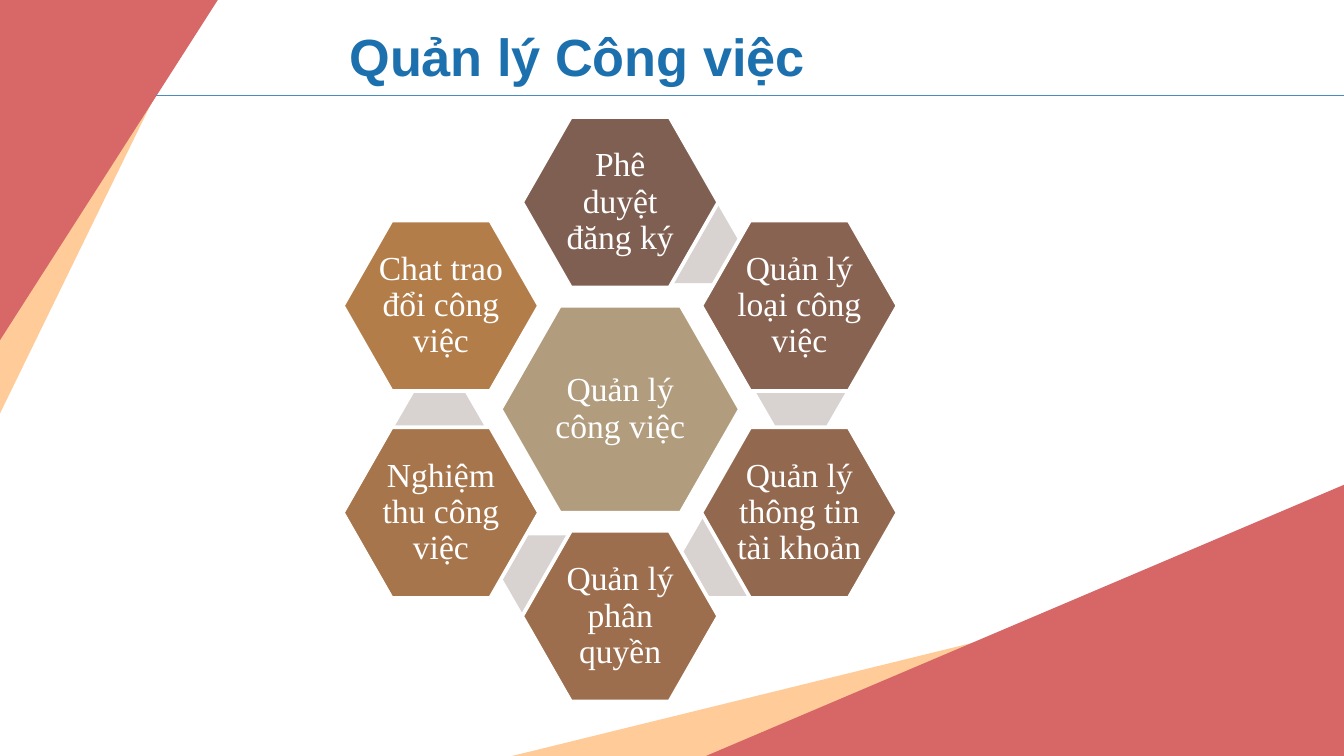
import math

from lxml import etree
from pptx import Presentation
from pptx import util as u
from pptx.dml.color import RGBColor
from pptx.enum import shapes, text
from pptx.oxml.ns import qn

WHITE = RGBColor(0xFF, 0xFF, 0xFF)
PEACH = RGBColor(0xFF, 0xCC, 0x99)
CORAL = RGBColor(0xD8, 0x68, 0x67)
ROSE = RGBColor(0xD7, 0x67, 0x67)
TITLE_BLUE = RGBColor(0x1C, 0x70, 0xAD)
RULE_BLUE = RGBColor(0x49, 0x8C, 0xBD)
LINK_GREY = RGBColor(0xD8, 0xD2, 0xD1)
HUB_SAND = RGBColor(0xB1, 0x9C, 0x7D)

TRIANGLES = [
    (PEACH, [(10.1, 4.08), (3.67, 5.66), (10.1, 5.75)]),
    (PEACH, [(1.54, -0.08), (-0.08, -0.13), (-0.06, 3.2)]),
    (CORAL, [(-0.05, 2.61), (-0.07, -0.04), (1.64, -0.03)]),
    (ROSE, [(5.1, 5.69), (10.04, 3.59), (10.05, 5.7)]),
]
TASKS = [
    ("Phê duyệt đăng ký", RGBColor(0x7F, 0x5F, 0x52)),
    ("Quản lý loại công việc", RGBColor(0x89, 0x63, 0x51)),
    ("Quản lý thông tin tài khoản", RGBColor(0x92, 0x68, 0x4F)),
    ("Quản lý phân quyền", RGBColor(0x9D, 0x6E, 0x4E)),
    ("Nghiệm thu công việc", RGBColor(0xA7, 0x75, 0x4B)),
    ("Chat trao đổi công việc", RGBColor(0xB2, 0x7D, 0x49)),
]


def add_span(para, words, font, size, color, bold=False):
    """Add one formatted run to a paragraph."""
    span = para.add_run()
    span.text = words
    span.font.name = font
    span.font.size = u.Pt(size)
    span.font.bold = bold
    span.font.color.rgb = color


def add_triangle(page, points, color):
    """Draw a filled triangle through three points in inches."""
    corners = [(u.Inches(x), u.Inches(y)) for x, y in points]
    builder = page.shapes.build_freeform(*corners[0], scale=1.0)
    builder.add_line_segments(corners[1:], close=True)
    triangle = builder.convert_to_shape()
    triangle.shadow.inherit = False
    triangle.fill.solid()
    triangle.fill.fore_color.rgb = color
    triangle.line.fill.background()


def add_backdrop(page):
    """Draw the corner triangles and the rule under the title."""
    for color, points in TRIANGLES:
        add_triangle(page, points, color)
    rule = page.shapes.add_connector(
        shapes.MSO_CONNECTOR.STRAIGHT,
        u.Inches(1.16), u.Inches(0.71), u.Inches(10), u.Inches(0.71))
    rule.line.color.rgb = RULE_BLUE
    rule.line.width = u.Pt(0.75)
    etree.SubElement(rule._element.spPr, qn("a:effectLst"))


def add_heading(page, left, top, width, height):
    """Place the title placeholder in the given box."""
    title = page.shapes.title
    title.left, title.top = u.Inches(left), u.Inches(top)
    title.width, title.height = u.Inches(width), u.Inches(height)
    title.text_frame.auto_size = text.MSO_AUTO_SIZE.NONE
    title.text_frame.vertical_anchor = text.MSO_ANCHOR.MIDDLE
    para = title.text_frame.paragraphs[0]
    para.alignment = text.PP_ALIGN.LEFT
    add_span(para, "Quản lý Công việc", "Arial", 28, TITLE_BLUE, bold=True)


def add_hexagon(page, center, size, color, slant):
    """Draw a borderless hexagon around a centre."""
    (x, y), (width, height) = center, size
    hexagon = page.shapes.add_shape(
        shapes.MSO_SHAPE.HEXAGON,
        u.Inches(x - width / 2), u.Inches(y - height / 2),
        u.Inches(width), u.Inches(height))
    hexagon.adjustments[0] = slant
    hexagon.shadow.inherit = False
    hexagon.fill.solid()
    hexagon.fill.fore_color.rgb = color
    hexagon.line.fill.background()
    return hexagon


def add_task(page, center, size, color, words):
    """Draw a white-edged hexagon with its label."""
    hexagon = add_hexagon(page, center, size, color, 0.286)
    hexagon.line.color.rgb = WHITE
    hexagon.line.width = u.Pt(2)
    frame = hexagon.text_frame
    frame.word_wrap = True
    frame.vertical_anchor = text.MSO_ANCHOR.MIDDLE
    frame.margin_left = frame.margin_right = u.Inches(0.02)
    frame.margin_top = frame.margin_bottom = u.Inches(0.03)
    para = frame.paragraphs[0]
    para.alignment = text.PP_ALIGN.CENTER
    para.line_spacing = 0.9
    add_span(para, words, "Times New Roman", 18, WHITE)


def add_cluster(page, left, top, width, height):
    """Draw the hub, the ring of tasks and the links between them."""
    middle = (left + width / 2, top + height / 2)

    def around(radius, degrees):
        """Return the point at a clockwise angle from the top."""
        angle = math.radians(degrees)
        return (middle[0] + radius * math.sin(angle),
                middle[1] - radius * math.cos(angle))

    add_task(page, middle, (1.78, 1.54), HUB_SAND, "Quản lý công việc")
    step = 360 / len(TASKS)
    for index, (words, color) in enumerate(TASKS):
        if index < len(TASKS) - 1:
            link = around(1.35, index * step + 24.5)
            add_hexagon(page, link, (0.67, 0.58), LINK_GREY, 0.289)
        add_task(page, around(1.54, index * step), (1.46, 1.27), color, words)


def main():
    """Build the slide and save the deck."""
    deck = Presentation()
    deck.slide_width = u.Inches(10)
    deck.slide_height = u.Inches(10 * 9 / 16)
    page = deck.slides.add_slide(deck.slide_layouts[5])
    add_backdrop(page)
    add_heading(page, 2.5, 0.13, 7.04, 0.57)
    add_cluster(page, 2.54, 0.87, 4.15, 4.35)
    deck.save("out.pptx")


if __name__ == "__main__":
    main()
